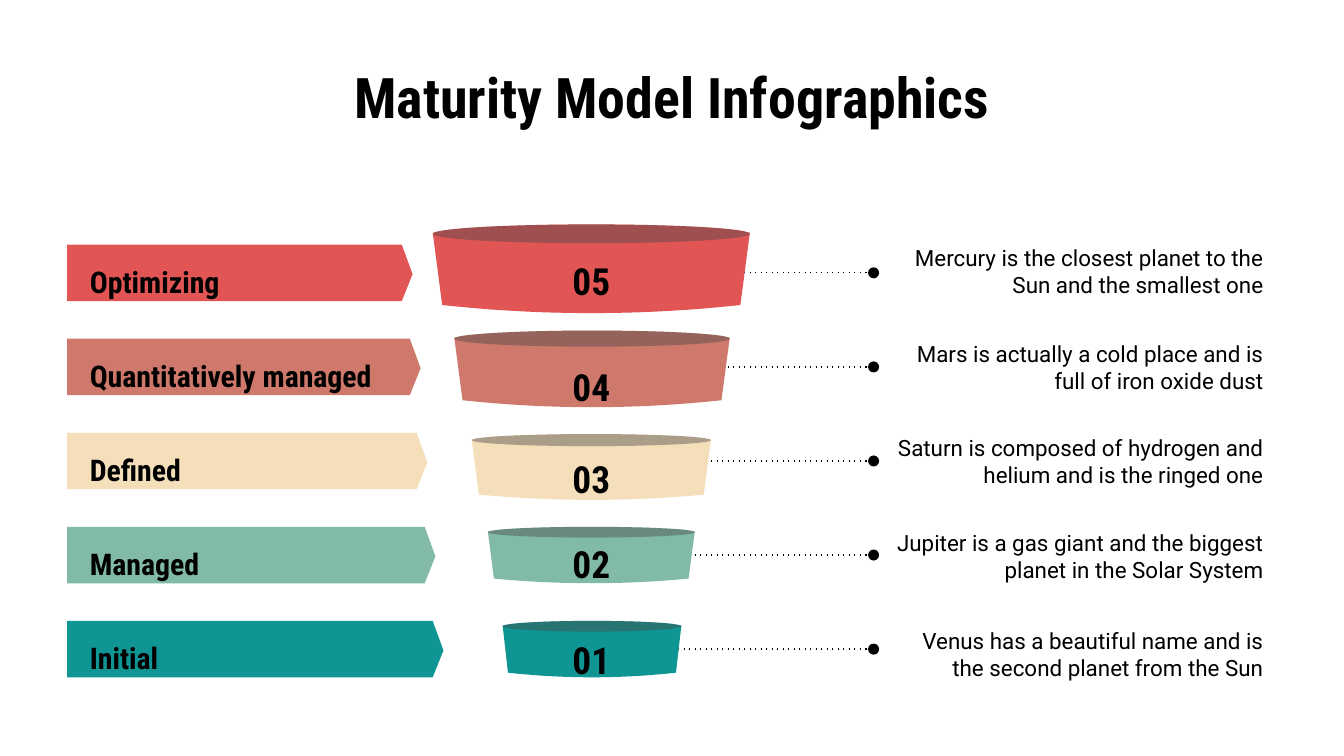
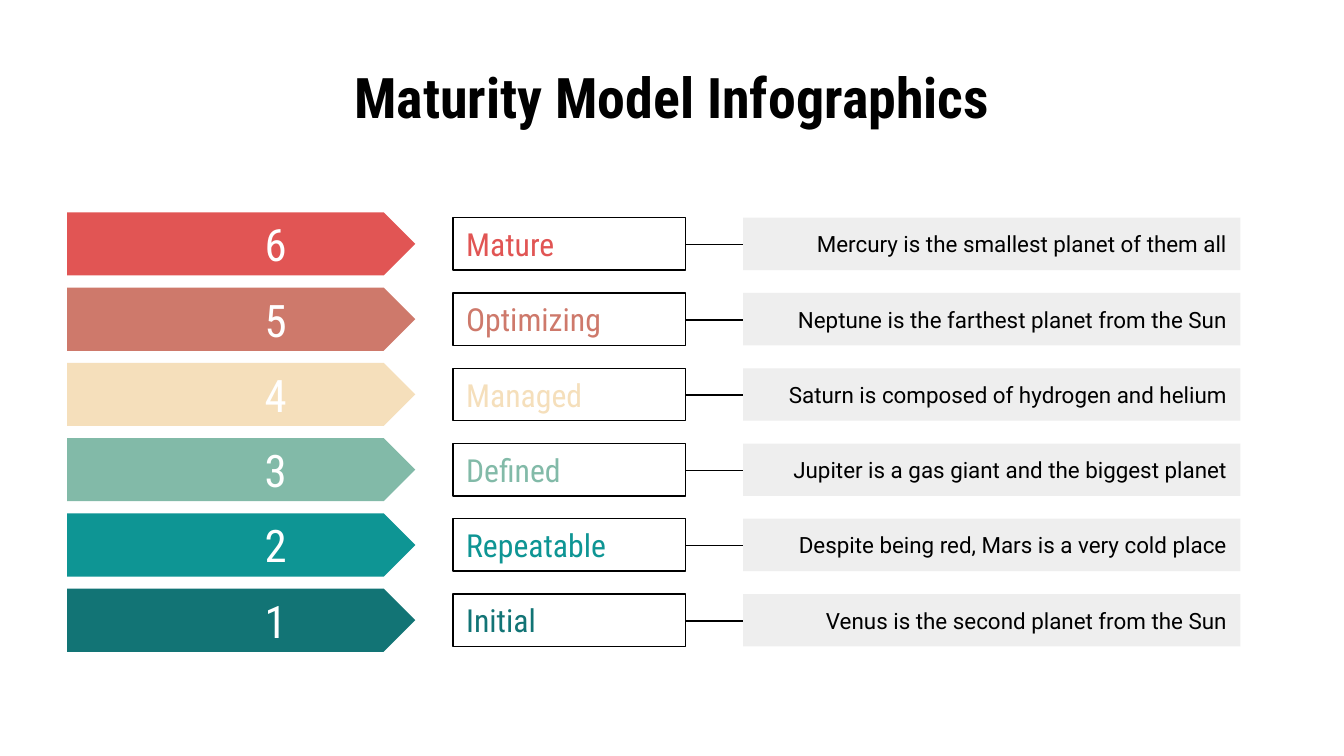
from dataclasses import dataclass
from typing import List, Optional, Tuple, Union

from lxml.etree import SubElement
from pptx import Presentation
from pptx.dml.color import RGBColor
from pptx.enum.shapes import MSO_CONNECTOR as Connector
from pptx.enum.shapes import MSO_SHAPE as Preset
from pptx.enum.text import MSO_ANCHOR as Anchor
from pptx.enum.text import PP_ALIGN as Align
from pptx.oxml.ns import qn
from pptx.shapes.autoshape import Shape
from pptx.shapes.shapetree import GroupShapes, SlideShapes
from pptx.util import Emu, Pt

EMU_PER_PX = 9144  # 100 px to the inch
Shapes = Union[SlideShapes, GroupShapes]
Point = Tuple[float, float]


@dataclass(frozen=True)
class TextStyle:
    font: str
    size: int
    color: str = "000000"
    bold: bool = False
    align: Align = Align.LEFT
    anchor: Anchor = Anchor.MIDDLE
    line_spacing: Optional[float] = None
    space_after: int = 0


@dataclass(frozen=True)
class Theme:
    red: str = "E15554"
    clay: str = "CE796B"
    sand: str = "F5DFBB"
    sage: str = "82BAA8"
    teal: str = "0E9594"
    deep_teal: str = "127475"
    black: str = "000000"
    white: str = "FFFFFF"
    panel: str = "EEEEEE"
    shade: str = "494949"
    shade_alpha: int = 43
    line_width: float = 0.75
    heading_font: str = "Roboto Condensed"
    body_font: str = "Roboto"
    title_size: int = 30
    digit_size: int = 24
    cup_number_size: int = 20
    stage_size: int = 17
    level_size: int = 16
    body_size: int = 12


THEME = Theme()
TITLE = TextStyle(THEME.heading_font, THEME.title_size, bold=True, align=Align.CENTER)
LEVEL_NAME = TextStyle(THEME.heading_font, THEME.level_size, bold=True,
                       anchor=Anchor.TOP, line_spacing=1.15, space_after=16)
CUP_NUMBER = TextStyle(THEME.heading_font, THEME.cup_number_size, bold=True,
                       align=Align.CENTER, line_spacing=1.15)
DIGIT = TextStyle(THEME.heading_font, THEME.digit_size, THEME.white, align=Align.CENTER)


def body_style(anchor: Anchor) -> TextStyle:
    return TextStyle(THEME.body_font, THEME.body_size, align=Align.RIGHT, anchor=anchor)


@dataclass(frozen=True)
class Box:
    left: int
    top: int
    width: int
    height: int

    def emu(self) -> Tuple[Emu, Emu, Emu, Emu]:
        return px(self.left), px(self.top), px(self.width), px(self.height)


@dataclass(frozen=True)
class Cup:
    box: Box
    rim_height: int
    number: str
    number_top: int


@dataclass(frozen=True)
class Level:
    name: str
    name_width: int
    color: str
    description: str
    cup: Cup
    description_anchor: Anchor = Anchor.TOP


@dataclass(frozen=True)
class Stage:
    name: str
    color: str
    description: str


LEVELS = [
    Level("Optimizing", 169, THEME.red,
          "Mercury is the closest planet to the Sun and the smallest one",
          Cup(Box(322, 167, 236, 66), 14, "05", 190)),
    Level("Quantitatively managed", 237, THEME.clay,
          "Mars is actually a cold place and is full of iron oxide dust",
          Cup(Box(338, 246, 205, 57), 12, "04", 269)),
    Level("Defined", 142, THEME.sand,
          "Saturn is composed of hydrogen and helium and is the ringed one",
          Cup(Box(351, 323, 178, 49), 9, "03", 337)),
    Level("Managed", 169, THEME.sage,
          "Jupiter is a gas giant and the biggest planet in the Solar System",
          Cup(Box(363, 392, 154, 42), 8, "02", 400)),
    Level("Initial", 169, THEME.teal,
          "Venus has a beautiful name and is the second planet from the Sun",
          Cup(Box(374, 462, 133, 42), 8, "01", 472), Anchor.MIDDLE),
]

STAGES = [
    Stage("Mature", THEME.red, "Mercury is the smallest planet of them all"),
    Stage("Optimizing", THEME.clay, "Neptune is the farthest planet from the Sun"),
    Stage("Managed", THEME.sand, "Saturn is composed of hydrogen and helium"),
    Stage("Defined", THEME.sage, "Jupiter is a gas giant and the biggest planet"),
    Stage("Repeatable", THEME.teal, "Despite being red, Mars is a very cold place"),
    Stage("Initial", THEME.deep_teal, "Venus is the second planet from the Sun"),
]


def px(length: float) -> Emu:
    return Emu(round(length * EMU_PER_PX))


def write(shape: Shape, text: str, style: TextStyle) -> None:
    frame = shape.text_frame
    frame.text = text
    frame.word_wrap = True
    frame.vertical_anchor = style.anchor
    frame.margin_left = frame.margin_right = px(10)
    frame.margin_top = frame.margin_bottom = px(10)
    paragraph = frame.paragraphs[0]
    paragraph.alignment = style.align
    paragraph.space_after = Pt(style.space_after)
    if style.line_spacing:
        paragraph.line_spacing = style.line_spacing
    font = paragraph.runs[0].font
    font.name, font.size, font.bold = style.font, Pt(style.size), style.bold
    font.color.rgb = RGBColor.from_string(style.color)


def add_text(shapes: Shapes, box: Box, text: str, style: TextStyle) -> None:
    write(shapes.add_textbox(*box.emu()), text, style)


def paint(shape: Shape, fill: Optional[str], line: Optional[str] = None) -> None:
    """Set flat fill and outline; None leaves either of them empty."""
    shape.shadow.inherit = False
    if fill:
        shape.fill.solid()
        shape.fill.fore_color.rgb = RGBColor.from_string(fill)
    else:
        shape.fill.background()
    if line:
        shape.line.color.rgb = RGBColor.from_string(line)
        shape.line.width = Pt(THEME.line_width)
    else:
        shape.line.fill.background()


def add_preset(shapes: Shapes, preset: Preset, box: Box, fill: Optional[str],
               line: Optional[str] = None) -> Shape:
    shape = shapes.add_shape(preset, *box.emu())
    paint(shape, fill, line)
    return shape


def add_outline(shapes: Shapes, points: List[Point], fill: str) -> None:
    corners = [(px(x), px(y)) for x, y in points]
    builder = shapes.build_freeform(*corners[0])
    builder.add_line_segments(corners[1:], close=True)
    paint(builder.convert_to_shape(), fill)


def add_rule(shapes: Shapes, left: int, right: int, y: int, dotted: bool = False) -> None:
    """Draw a level line; a dotted one ends in a round dot."""
    rule = shapes.add_connector(Connector.STRAIGHT, px(left), px(y), px(right), px(y))
    rule.line.color.rgb = RGBColor.from_string(THEME.black)
    rule.line.width = Pt(THEME.line_width)
    properties = rule._element.spPr
    if dotted:
        line = properties.find(qn("a:ln"))
        SubElement(line, qn("a:prstDash"), val="dot")
        SubElement(line, qn("a:tailEnd"), type="oval")
    SubElement(properties, qn("a:effectLst"))


def sagging_edge(left: float, right: float, y: float, sag: float) -> List[Point]:
    """Points from left to right along a shallow downward bow."""
    steps = 24
    center, half = (left + right) / 2, (right - left) / 2
    positions = [2 * step / steps - 1 for step in range(steps + 1)]
    return [(center + half * u, y + sag * (1 - u * u)) for u in positions]


def add_cup(slide_shapes: Shapes, cup: Cup, color: str) -> None:
    shapes = slide_shapes.add_group_shape().shapes
    box = cup.box
    right = box.left + box.width
    inset, sag = 0.03 * box.width, 0.43 * cup.rim_height
    upper = sagging_edge(box.left, right, box.top + sag, sag)
    lower = sagging_edge(box.left + inset, right - inset, box.top + box.height - sag, sag)
    add_outline(shapes, lower + upper[::-1], color)

    rim = Box(box.left, box.top, box.width, cup.rim_height)
    add_preset(shapes, Preset.OVAL, rim, color)
    shade = add_preset(shapes, Preset.OVAL, rim, THEME.shade)
    shade_color = shade._element.spPr.find(f".//{qn('a:srgbClr')}")
    SubElement(shade_color, qn("a:alpha"), val=str(THEME.shade_alpha * 1000))


def add_banner(shapes: Shapes, left: int, top: int, tip: int, color: str) -> None:
    shoulder, bottom = tip - 8, top + 42
    add_outline(shapes, [(left, top), (left, bottom), (shoulder, bottom),
                         (tip, top + 22), (shoulder, top)], color)


def add_titled_slide(presentation: Presentation) -> SlideShapes:
    slide = presentation.slides.add_slide(presentation.slide_layouts[6])
    add_text(slide.shapes, Box(50, 45, 900, 53), "Maturity Model Infographics", TITLE)
    return slide.shapes


def build_cup_slide(presentation: Presentation) -> None:
    shapes = add_titled_slide(presentation)
    for index, level in enumerate(LEVELS):
        top = 182 + 70 * index
        add_rule(shapes, 439, 650, top + 21, dotted=True)
        add_text(shapes, Box(650, round(172 + 70.7 * index), 300, 63),
                 level.description, body_style(level.description_anchor))
        add_banner(shapes, 50, top, round(307 + 5.75 * index), level.color)
        add_text(shapes, Box(57, top, level.name_width, 42), level.name, LEVEL_NAME)
        add_cup(shapes, level.cup, level.color)
        add_text(shapes, Box(388, level.cup.number_top, 104, 33),
                 level.cup.number, CUP_NUMBER)


def build_stage_slide(presentation: Presentation) -> None:
    shapes = add_titled_slide(presentation)
    for index, stage in enumerate(STAGES):
        arrow_top = 158 + 56 * index
        top = arrow_top + 4
        add_preset(shapes, Preset.PENTAGON, Box(50, arrow_top, 259, 47), stage.color)
        add_text(shapes, Box(179, top, 52, 39), str(len(STAGES) - index), DIGIT)

        row = shapes.add_group_shape().shapes
        name = add_preset(row, Preset.RECTANGLE, Box(337, top, 173, 39), None, THEME.black)
        write(name, stage.name, TextStyle(THEME.heading_font, THEME.stage_size, stage.color))
        panel = add_preset(row, Preset.RECTANGLE, Box(553, top, 370, 39), THEME.panel)
        write(panel, stage.description, body_style(Anchor.MIDDLE))
        add_rule(row, 510, 553, top + 20)


def main() -> None:
    presentation = Presentation()
    presentation.slide_width = px(1000)
    presentation.slide_height = Emu(presentation.slide_width * 9 // 16)
    build_cup_slide(presentation)
    build_stage_slide(presentation)
    presentation.save("out.pptx")


if __name__ == "__main__":
    main()
